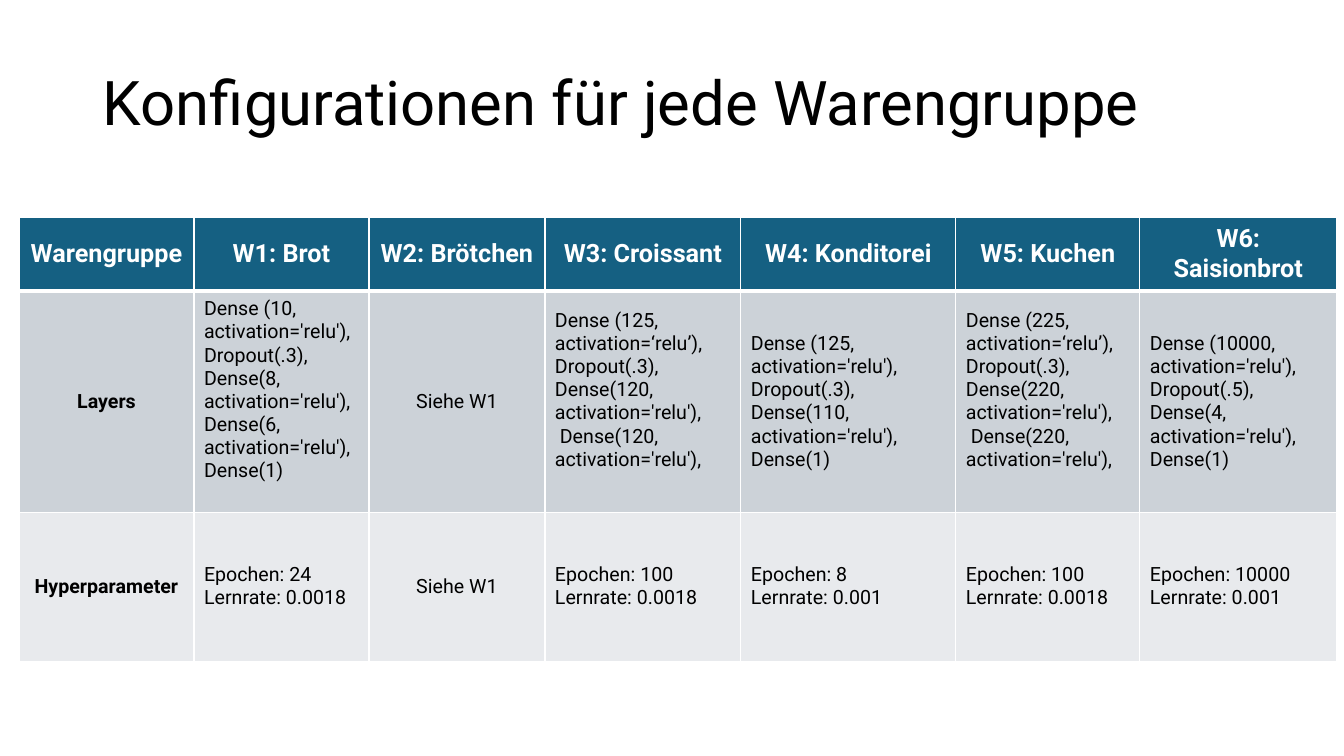
import pptx
import pptx.dml.color
import pptx.enum.text
import pptx.oxml
import pptx.oxml.ns
import pptx.util

RGB = pptx.dml.color.RGBColor
WHITE = RGB(0xFF, 0xFF, 0xFF)
BLACK = RGB(0x00, 0x00, 0x00)
BLUE = RGB(0x15, 0x60, 0x82)
GREY = RGB(0xCC, 0xD2, 0xD8)
PALE = RGB(0xE8, 0xEA, 0xED)
FONT = "Roboto"
CENTER = pptx.enum.text.PP_ALIGN.CENTER
LEFT = pptx.enum.text.PP_ALIGN.LEFT
MIDDLE = pptx.enum.text.MSO_ANCHOR.MIDDLE

COLS = [175, 175, 176, 196, 215, 184, 197]
ROWS = [74, 218, 149]
LINE = 23  # height of one 14 pt line
PAD = 5
RAISED = {(1, 1), (1, 3), (1, 5)}  # cells whose text sits half a line higher

HEADS = ["Warengruppe", "W1: Brot", "W2: Brötchen", "W3: Croissant",
         "W4: Konditorei", "W5: Kuchen", "W6: Saisionbrot"]
LAYERS = [
    "Layers",
    "Dense (10, activation='relu'),\nDropout(.3),\nDense(8, activation='relu'),\n"
    "Dense(6, activation='relu'),\nDense(1)",
    "Siehe W1",
    "Dense (125, activation=‘relu’), Dropout(.3),\nDense(120, activation='relu'),\n"
    " Dense(120, activation='relu'),",
    "Dense (125, activation='relu'),\nDropout(.3),\n"
    "Dense(110, activation='relu'),\nDense(1)",
    "Dense (225, activation=‘relu’), Dropout(.3),\nDense(220, activation='relu'),\n"
    " Dense(220, activation='relu'),",
    "Dense (10000, activation='relu'),\nDropout(.5),\n"
    "Dense(4, activation='relu'),\nDense(1)",
]
PARAMS = ["Hyperparameter", "Epochen: 24\nLernrate: 0.0018", "Siehe W1",
          "Epochen: 100\nLernrate: 0.0018", "Epochen: 8\nLernrate: 0.001",
          "Epochen: 100\nLernrate: 0.0018", "Epochen: 10000 Lernrate: 0.001"]


def px(n):
    return pptx.util.Emu(round(n * 914400 / 100.8))


def style(frame, size, color, bold=False, align=LEFT):
    for para in frame.paragraphs:
        para.alignment = align
        for run in para.runs:
            font = run.font
            font.name = FONT
            font.size = pptx.util.Pt(size)
            font.bold = bold
            font.color.rgb = color


def add_title(slide, box, text):
    frame = slide.shapes.add_textbox(*map(px, box)).text_frame
    frame.word_wrap = True
    frame.vertical_anchor = MIDDLE
    frame.text = text
    frame.paragraphs[0].line_spacing = 0.9
    style(frame, 44, BLACK)


def edge(cell, side, width):
    """Draw one white border of a cell, width in points."""
    line = pptx.oxml.parse_xml(
        f'<a:ln{side} {pptx.oxml.ns.nsdecls("a")} w="{pptx.util.Pt(width)}">'
        f'<a:solidFill><a:srgbClr val="{WHITE}"/></a:solidFill></a:ln{side}>')
    cell._tc.get_or_add_tcPr().append(line)


def fill_cell(cell, row, col, text):
    head = row == 0
    for side in "LRTB":
        thick = (row, side) in {(0, "B"), (1, "T")}
        edge(cell, side, 3 if thick else 1)
    cell.fill.solid()
    cell.fill.fore_color.rgb = (BLUE, GREY, PALE)[row]
    cell.vertical_anchor = MIDDLE
    cell.margin_top = px(PAD)
    cell.margin_bottom = px(PAD + LINE if (row, col) in RAISED else PAD)
    cell.text_frame.text = text
    style(cell.text_frame, 18 if head else 14, WHITE if head else BLACK,
          bold=head or col == 0,
          align=CENTER if head or col in (0, 2) else LEFT)


def add_grid(slide, left, top, data):
    table = slide.shapes.add_table(
        len(ROWS), len(COLS), px(left), px(top),
        px(sum(COLS)), px(sum(ROWS))).table
    table.horz_banding = False
    for col, wide in zip(table.columns, COLS):
        col.width = px(wide)
    for row, high in zip(table.rows, ROWS):
        row.height = px(high)
    for r, texts in enumerate(data):
        for c, text in enumerate(texts):
            fill_cell(table.cell(r, c), r, c, text)


def main():
    deck = pptx.Presentation()
    deck.slide_width, deck.slide_height = px(1344), px(756)
    slide = deck.slides.add_slide(deck.slide_layouts[6])
    add_title(slide, (93, 25, 1159, 161), "Konfigurationen für jede Warengruppe")
    add_grid(slide, 19, 217, [HEADS, LAYERS, PARAMS])
    deck.save("out.pptx")


if __name__ == "__main__":
    main()
